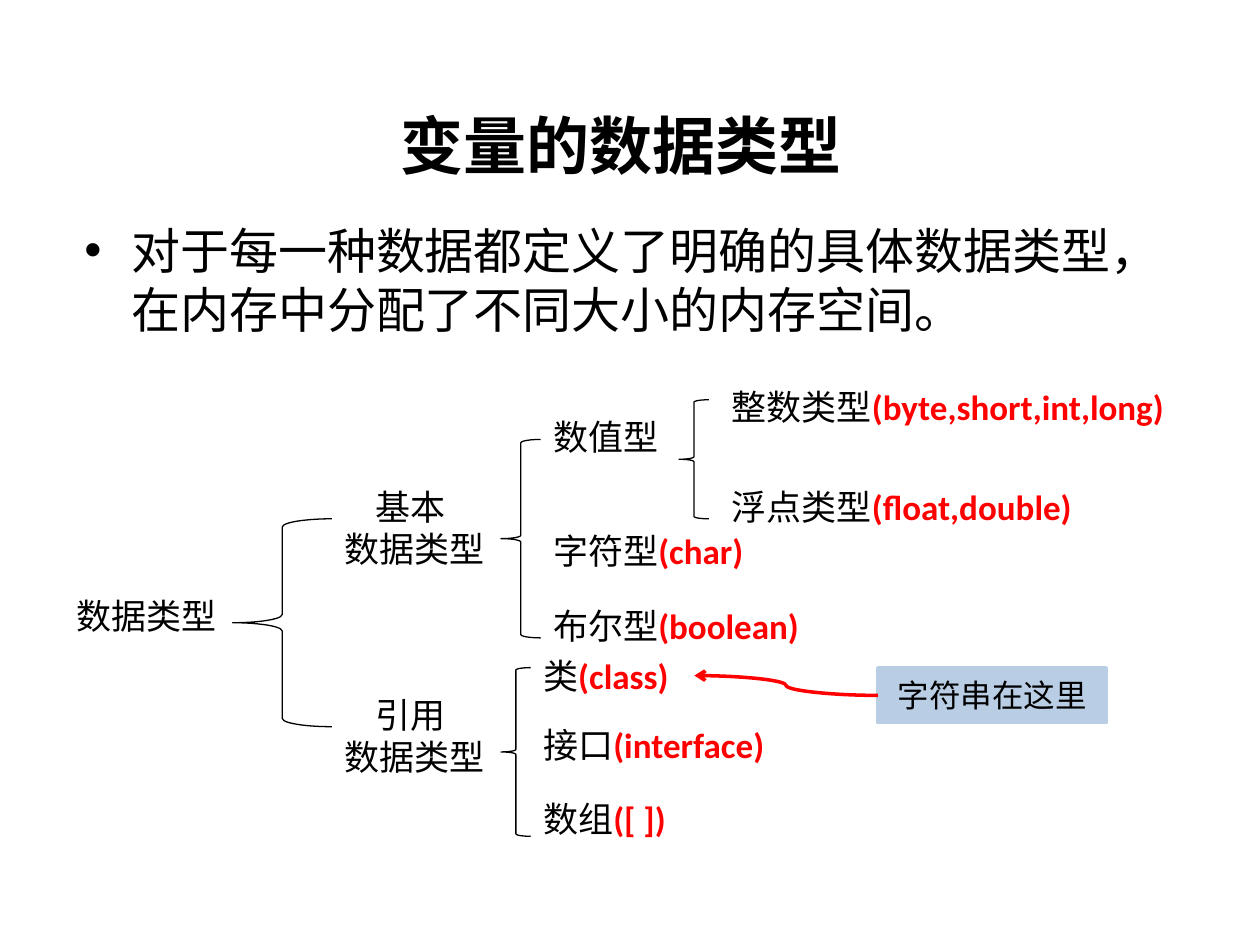
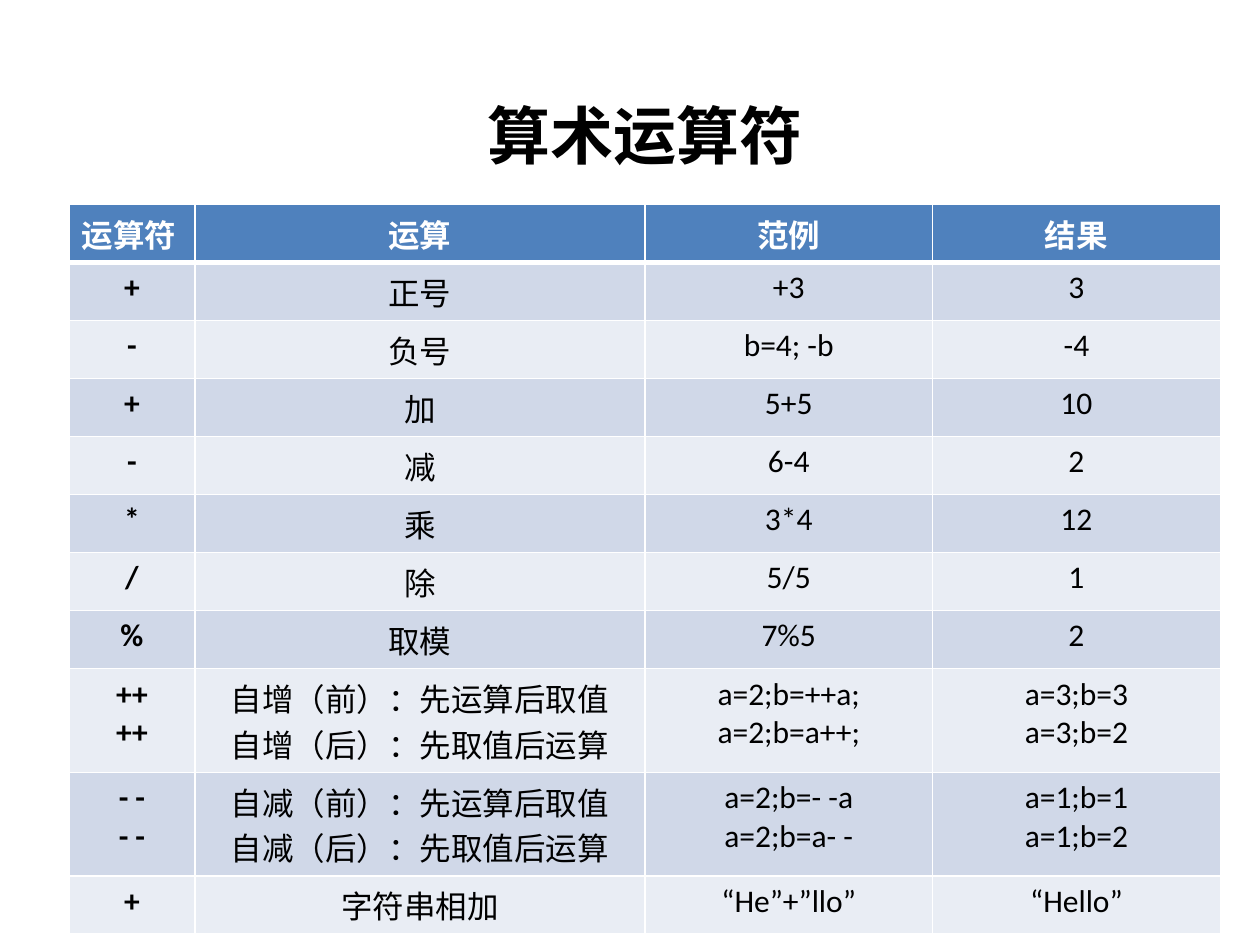
from lxml.etree import SubElement
from pptx import Presentation
from pptx.dml.color import RGBColor
from pptx.enum.shapes import MSO_CONNECTOR as Connector, MSO_SHAPE as Shape
from pptx.enum.text import MSO_ANCHOR as Anchor, PP_ALIGN as Align
from pptx.oxml import parse_xml
from pptx.oxml.ns import nsdecls, qn
from pptx.util import Cm, Pt

COLORS = {"text": "000000", "keyword": "FF0000", "note": "B9CDE5", "white": "FFFFFF",
          "header": "4F81BD", "odd": "D0D8E8", "even": "E9EDF4"}
LATIN, CJK, SERIF = "Calibri", "Noto Sans CJK SC", "Times New Roman"

# Content of the data type tree, lengths in cm
TYPES_TITLE = "变量的数据类型"
TYPES_BODY = "对于每一种数据都定义了明确的具体数据类型，在内存中分配了不同大小的内存空间。"
NOTE = "字符串在这里"
BRACES = [  # left, top, width, height
    (4.69, 10.46, 2, 4.19),
    (10.1, 8.86, 0.8, 4),
    (10.1, 13.46, 0.6, 3.4),
    (13.69, 8.06, 0.6, 2.4),
]
TREE = [  # left of the column, width, [(top, label, keyword)]
    (1.3, 4, [(11.86, "数据类型", "")]),
    (6.69, 5.6, [(9.66, "基本\n数据类型", ""), (13.86, "引用\n数据类型", "")]),
    (10.9, 6.2, [(8.26, "数值型", ""), (10.54, "字符型", "(char)"),
                 (12.07, "布尔型", "(boolean)")]),
    (14.5, 9.8, [(7.65, "整数类型", "(byte,short,int,long)"),
                 (9.66, "浮点类型", "(float,double)")]),
    (10.7, 7, [(13.06, "类", "(class)"), (14.46, "接口", "(interface)"),
               (15.95, "数组", "([ ])")]),
]

# Content of the operator table
OPERATORS_TITLE = "算术运算符"
COLUMN_WIDTHS = [2.54, 9.07, 5.8, 5.8]
ROW_HEIGHT, DOUBLE_ROW_HEIGHT = 1.17, 2.09
OPERATORS = [
    ("运算符", "运算", "范例", "结果"),
    ("+", "正号", "+3", "3"),
    ("-", "负号", "b=4; -b", "-4"),
    ("+", "加", "5+5", "10"),
    ("-", "减", "6-4", "2"),
    ("*", "乘", "3*4", "12"),
    ("/", "除", "5/5", "1"),
    ("%", "取模", "7%5", "2"),
    ("++\n++", "自增（前）：先运算后取值\n自增（后）：先取值后运算",
     "a=2;b=++a;\na=2;b=a++;", "a=3;b=3\na=3;b=2"),
    ("- -\n- -", "自减（前）：先运算后取值\n自减（后）：先取值后运算",
     "a=2;b=- -a\na=2;b=a- -", "a=1;b=1\na=1;b=2"),
    ("+", "字符串相加", "“He”+”llo”", "“Hello”"),
]


def rgb(name):
    return RGBColor.from_string(COLORS[name])


def style(paragraph, size, color="text", bold=False, latin=LATIN, asian=LATIN, align=Align.LEFT):
    paragraph.alignment = align
    font = paragraph.font
    font.size, font.bold, font.name = Pt(size), bold, latin
    font.color.rgb = rgb(color)
    defaults = paragraph._p.pPr.find(qn("a:defRPr"))
    SubElement(defaults, qn("a:ea"), typeface=asian)


def add_text(slide, box, text, anchor=Anchor.TOP, **look):
    frame = slide.shapes.add_textbox(*map(Cm, box)).text_frame
    frame.word_wrap = True
    frame.vertical_anchor = anchor
    frame.text = text
    for paragraph in frame.paragraphs:
        style(paragraph, **look)
    return frame.paragraphs


def add_title(slide, box, text, font):
    add_text(slide, box, text, Anchor.MIDDLE, size=36, bold=True, latin=font, asian=font,
             align=Align.CENTER)


def add_brace(slide, box):
    brace = slide.shapes.add_shape(Shape.LEFT_BRACE, *map(Cm, box))
    brace.shadow.inherit = False
    brace.fill.background()
    brace.line.color.rgb = rgb("text")
    brace.line.width = Pt(0.75)


def add_label(slide, left, top, width, label, keyword):
    lines = label.count("\n") + 1
    paragraphs = add_text(slide, (left, top, width, 0.27 + 0.85 * lines), label, size=20)
    if lines > 1:
        paragraphs[0]._p.pPr.set("marL", str(Cm(0.63)))
    if keyword:
        run = paragraphs[0].add_run()
        run.text = keyword
        run.font.bold = True
        run.font.color.rgb = rgb("keyword")


def add_note(slide):
    note = slide.shapes.add_shape(Shape.RECTANGLE, Cm(17.7), Cm(13.46), Cm(4.6), Cm(1.11))
    note.shadow.inherit = False
    note.fill.solid()
    note.fill.fore_color.rgb = note.line.color.rgb = rgb("note")
    note.line.width = Pt(2)
    note.text_frame.text = NOTE
    note.text_frame.vertical_anchor = Anchor.MIDDLE
    style(note.text_frame.paragraphs[0], 18, align=Align.CENTER)

    arrow = slide.shapes.add_connector(Connector.CURVE, Cm(17.7), Cm(14.02), Cm(14), Cm(13.62))
    arrow.line.color.rgb = rgb("keyword")
    arrow.line.width = Pt(2)
    SubElement(arrow.line._get_or_add_ln(), qn("a:tailEnd"), type="arrow")
    SubElement(arrow._element.spPr, qn("a:effectLst"))


def build_types_slide(slide):
    add_title(slide, (3.77, 1.72, 17.48, 2.38), TYPES_TITLE, LATIN)

    # Bulleted statement
    statement = add_text(slide, (1.45, 4.32, 22.86, 2.9), TYPES_BODY, size=28)[0]
    properties = statement._p.pPr
    properties.set("marL", str(Cm(0.95)))
    properties.set("indent", str(-Cm(0.95)))
    properties.insert(0, parse_xml(f'<a:buFont {nsdecls("a")} typeface="Arial"/>'))
    properties.insert(1, parse_xml(f'<a:buChar {nsdecls("a")} char="•"/>'))

    # Tree of types
    for box in BRACES:
        add_brace(slide, box)
    for left, width, labels in TREE:
        for top, label, keyword in labels:
            add_label(slide, left, top, width, label, keyword)
    add_note(slide)


def set_borders(cell, **widths):
    properties = cell._tc.get_or_add_tcPr()
    for side in "LRTB":
        width = Pt(widths.get(side, 1))
        properties.append(parse_xml(
            f'<a:ln{side} {nsdecls("a")} w="{width}"><a:solidFill>'
            f'<a:srgbClr val="{COLORS["white"]}"/></a:solidFill></a:ln{side}>'))


def build_operators_slide(slide):
    add_title(slide, (7.7, 1.52, 10.59, 2.39), OPERATORS_TITLE, CJK)

    heights = [DOUBLE_ROW_HEIGHT if "\n" in row[0] else ROW_HEIGHT for row in OPERATORS]
    table = slide.shapes.add_table(len(OPERATORS), len(COLUMN_WIDTHS), Cm(1.39), Cm(4.12),
                                   Cm(sum(COLUMN_WIDTHS)), Cm(sum(heights))).table
    for column, width in zip(table.columns, COLUMN_WIDTHS):
        column.width = Cm(width)
    for r, (row, height) in enumerate(zip(OPERATORS, heights)):
        table.rows[r].height = Cm(height)
        header = r == 0
        fill = "header" if header else "odd" if r % 2 else "even"
        for c, text in enumerate(row):
            cell = table.cell(r, c)
            set_borders(cell, T=3 if r == 1 else 1, B=3 if header else 1)
            cell.fill.solid()
            cell.fill.fore_color.rgb = rgb(fill)
            cell.text_frame.text = text
            for paragraph in cell.text_frame.paragraphs:
                style(paragraph, 18, "white" if header else "text", header or c == 0,
                      SERIF if header else LATIN, CJK,
                      Align.LEFT if header and c == 0 else Align.CENTER)


def main():
    presentation = Presentation()
    presentation.slide_width, presentation.slide_height = Cm(25.4), Cm(19.05)
    for build in (build_types_slide, build_operators_slide):
        build(presentation.slides.add_slide(presentation.slide_layouts[6]))
    presentation.save("out.pptx")


if __name__ == "__main__":
    main()
